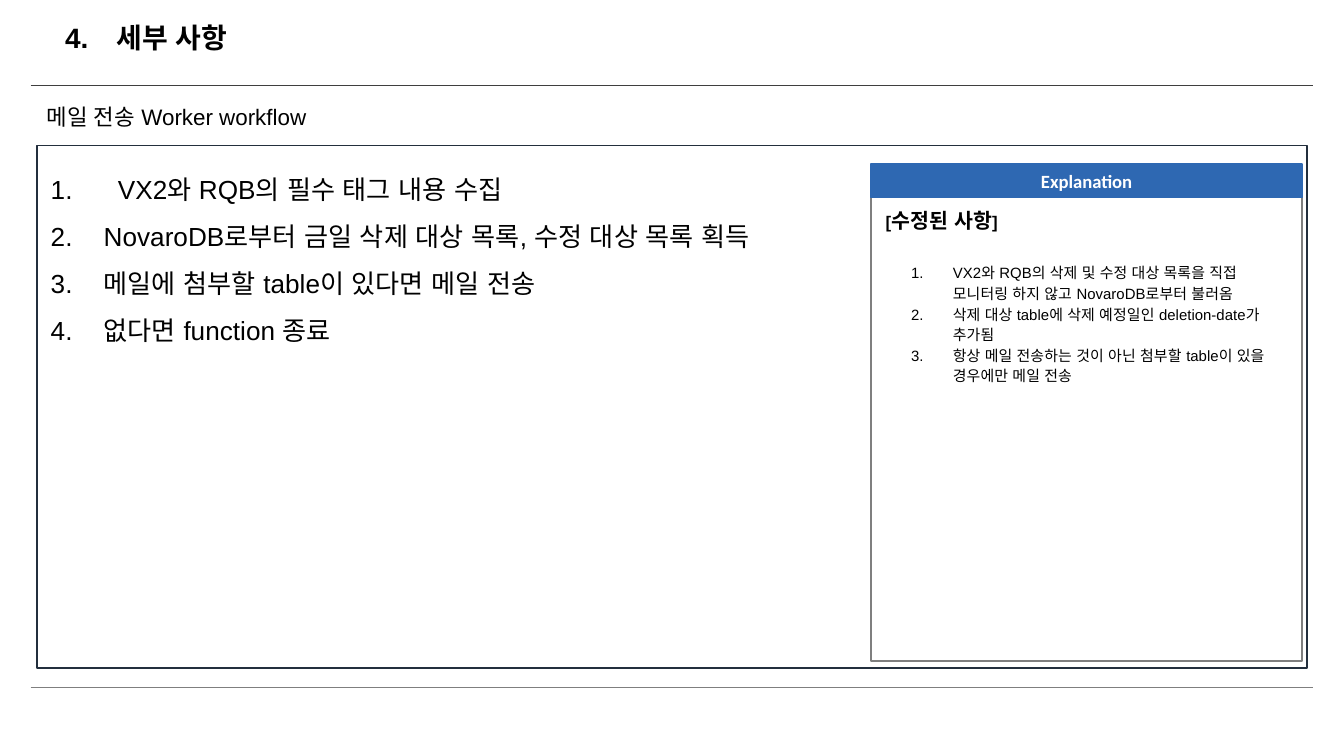
from dataclasses import dataclass

from pptx import Presentation
from pptx.dml.color import RGBColor
from pptx.enum.shapes import MSO_CONNECTOR, MSO_SHAPE
from pptx.enum.text import MSO_ANCHOR, PP_ALIGN
from pptx.oxml.ns import qn
from pptx.slide import Slide
from pptx.text.text import TextFrame
from pptx.util import Cm, Pt
from lxml import etree

STRAIGHT = MSO_CONNECTOR.STRAIGHT
RECTANGLE = MSO_SHAPE.RECTANGLE
TOP, MIDDLE = MSO_ANCHOR.TOP, MSO_ANCHOR.MIDDLE
LEFT, CENTER = PP_ALIGN.LEFT, PP_ALIGN.CENTER

BLACK, GRAY, BLUE = "000000", "7F7F7F", "2E68B2"
PANEL_LEFT, PANEL_WIDTH = 16.46, 8.15


@dataclass(frozen=True)
class Place:
    left: float
    top: float
    width: float
    height: float

    def lengths(self) -> tuple[Cm, Cm, Cm, Cm]:
        return Cm(self.left), Cm(self.top), Cm(self.width), Cm(self.height)


@dataclass(frozen=True)
class Span:
    text: str
    size: float


@dataclass(frozen=True)
class Rule:
    top: float
    color: str


RULES = [Rule(1.62, "3F3F3F"), Rule(13.0, GRAY)]

STEPS = [
    "VX2와 RQB의 필수 태그 내용 수집",
    "NovaroDB로부터 금일 삭제 대상 목록, 수정 대상 목록 획득",
    "메일에 첨부할 table이 있다면 메일 전송",
    "없다면 function 종료",
]

CHANGES = [
    "VX2와 RQB의 삭제 및 수정 대상 목록을 직접 모니터링 하지 않고 NovaroDB로부터 불러옴",
    "삭제 대상 table에 삭제 예정일인 deletion-date가 추가됨",
    "항상 메일 전송하는 것이 아닌 첨부할 table이 있을 경우에만 메일 전송",
]


def rgb(color: str) -> RGBColor:
    return RGBColor.from_string(color)


def add_rule(page: Slide, rule: Rule) -> None:
    line = page.shapes.add_connector(STRAIGHT, Cm(0.58), Cm(rule.top), Cm(24.82), Cm(rule.top))
    line.line.color.rgb = rgb(rule.color)
    line.line.width = Pt(0.75)
    etree.SubElement(line._element.spPr, qn("a:effectLst"))


def add_rectangle(page: Slide, place: Place, line: str, width: float = 1, fill: str | None = None) -> TextFrame:
    box = page.shapes.add_shape(RECTANGLE, *place.lengths())
    box.shadow.inherit = False
    box.line.color.rgb = rgb(line)
    box.line.width = Pt(width)
    if fill:
        box.fill.solid()
        box.fill.fore_color.rgb = rgb(fill)
    else:
        box.fill.background()
    return box.text_frame


def add_text_box(page: Slide, place: Place) -> TextFrame:
    return page.shapes.add_textbox(*place.lengths()).text_frame


def prepare_frame(frame: TextFrame, anchor: MSO_ANCHOR = TOP) -> TextFrame:
    frame.word_wrap = True
    frame.vertical_anchor = anchor
    frame.margin_left = frame.margin_right = Cm(0.18)
    frame.margin_top = frame.margin_bottom = Cm(0.1)
    return frame


def write_para(
    frame: TextFrame, *spans: Span, font: str = "Arial", color: str = BLACK, bold: bool = False,
    align: PP_ALIGN = LEFT, spacing: float = 1, before: float = 0,
    margin: float = 0, indent: float = 0, number: int | None = None,
) -> None:
    para = frame.paragraphs[0] if not frame.text else frame.add_paragraph()
    para.alignment = align
    para.line_spacing = spacing
    para.space_before = Pt(before)
    properties = para._p.get_or_add_pPr()
    properties.set("marL", str(Cm(margin)))
    properties.set("indent", str(Cm(indent)))
    if number:
        bullet = etree.SubElement(properties, qn("a:buAutoNum"), type="arabicPeriod")
        if number > 1:
            bullet.set("startAt", str(number))
    for part in spans:
        span = para.add_run()
        span.text = part.text
        span.font.size = Pt(part.size)
        span.font.name = font
        span.font.bold = bold
        span.font.color.rgb = rgb(color)
        etree.SubElement(span.font._element, qn("a:ea"), typeface=font)


def add_heading(page: Slide) -> None:
    title = prepare_frame(add_text_box(page, Place(0.7, 0.2, 24, 1.09)), MIDDLE)
    write_para(title, Span("세부 사항", 15), bold=True, spacing=0.9, margin=1.32, indent=-0.97, number=4)
    subtitle = prepare_frame(add_text_box(page, Place(0.7, 1.9, 24, 0.81)))
    write_para(subtitle, Span("메일 전송 Worker workflow", 12), spacing=0.9)


def add_steps(page: Slide) -> None:
    add_rectangle(page, Place(0.7, 2.75, 24, 9.88), "232F3D")
    frame = prepare_frame(add_text_box(page, Place(0.78, 2.88, 23.77, 9.5)))
    for index, step in enumerate(STEPS):
        margin = 1 if index else 1.27
        write_para(frame, Span(step, 14), spacing=1.5, margin=margin, indent=-margin, number=1)


def add_explanation(page: Slide) -> None:
    add_rectangle(page, Place(PANEL_LEFT, 3.56, PANEL_WIDTH, 8.94), GRAY)
    header = add_rectangle(page, Place(PANEL_LEFT, 3.1, PANEL_WIDTH, 0.64), BLUE, 0.75, BLUE)
    prepare_frame(header, MIDDLE)
    write_para(header, Span("Explanation", 10), font="Calibri", color="FFFFFF", bold=True, align=CENTER)
    notes = prepare_frame(add_text_box(page, Place(PANEL_LEFT + 0.1, 3.76, PANEL_WIDTH - 0.2, 8.61)))
    write_para(notes, Span("[", 9), Span("수정된 사항", 11), Span("]", 9), bold=True, spacing=1.15, before=5)
    for index, change in enumerate(CHANGES):
        before = 0 if index else 15.5
        write_para(notes, Span(change, 8), spacing=1.15, before=before, margin=1.27, indent=-0.79, number=1)


def main() -> None:
    deck = Presentation()
    deck.slide_width, deck.slide_height = Cm(25.4), Cm(14.29)
    page = deck.slides.add_slide(deck.slide_layouts[6])
    for rule in RULES:
        add_rule(page, rule)
    add_heading(page)
    add_steps(page)
    add_explanation(page)
    deck.save("out.pptx")


if __name__ == "__main__":
    main()
